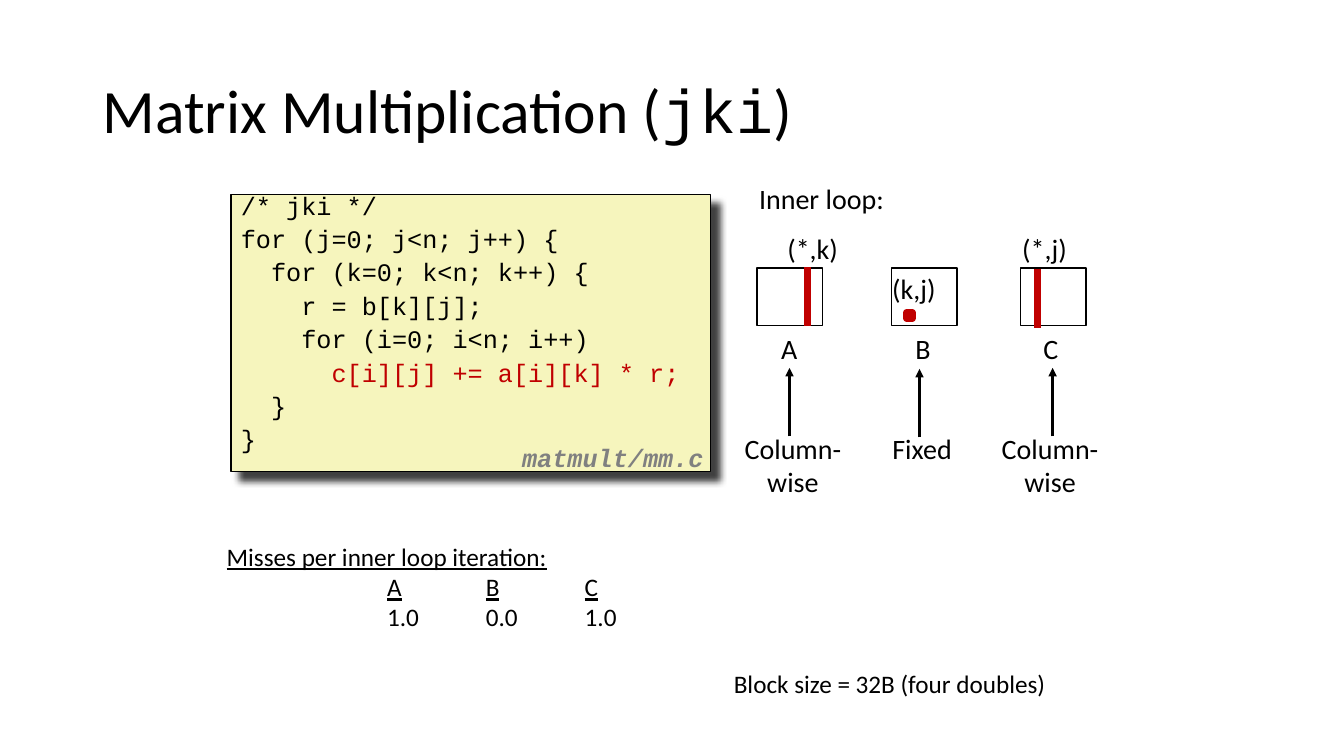
from dataclasses import dataclass

from lxml.etree import SubElement
from pptx import Presentation
from pptx.dml.color import RGBColor
from pptx.enum.shapes import MSO_CONNECTOR, MSO_SHAPE
from pptx.enum.text import MSO_ANCHOR, PP_ALIGN
from pptx.oxml.ns import qn
from pptx.util import Pt

# ---- Content: a paragraph is a list of (text, style) runs; boxes are left, top, width, height in px
TITLE = [[("Matrix Multiplication (", {}), ("jki", {"font": "code"}), (")", {})]]
CODE = [
    [("/* jki */", {})],
    [("for (j=0; j<n; j++) {", {})],
    [("  for (k=0; k<n; k++) {", {})],
    [("    r = b[k][j];", {})],
    [("    for (i=0; i<n; i++)", {})],
    [("      ", {}), ("c[i][j] += a[i][k] * r;", {"color": "accent"})],
    [("  }", {})],
    [("}", {})],
]
SOURCE_FILE = [[("matmult/mm.c", {"color": "muted", "bold": True, "italic": True})]]
INNER_LOOP = "Inner loop:"
BLOCK_SIZE = "Block size = 32B (four doubles)"
MISSES_HEADING = "Misses per inner loop iteration:"
MISSES = [("A", "1.0"), ("B", "0.0"), ("C", "1.0")]
MATRICES = [
    {"name": "A", "left": 751, "name_box": (765, 37), "index": "(*,k)", "index_box": (771, 225, 71, 43),
     "access": ["Column-", "wise"], "access_box": (728, 117), "arrow": (783, 433), "column": (801, 265)},
    {"name": "B", "left": 884, "name_box": (898, 35), "index": "(k,j)", "index_box": (875, 264, 63, 43),
     "access": ["Fixed"], "access_box": (875, 79), "arrow": (912, 434), "element": (899, 310, 6, 6)},
    {"name": "C", "left": 1012, "name_box": (1025, 35), "index": "(*,j)", "index_box": (1004, 225, 65, 43),
     "access": ["Column-", "wise"], "access_box": (983, 117), "arrow": (1044, 433), "column": (1029, 267)},
]
FRAME_TOP, FRAME_WIDTH, FRAME_HEIGHT = 266, 65, 57
COLUMN_LENGTH, ARROW_LENGTH = 58, 68
MISSES_FIRST_TAB, MISSES_TAB_STEP = 159, 98


@dataclass(frozen=True)
class Theme:
    text: str = "000000"
    accent: str = "C00000"
    element: str = "FF0000"
    muted: str = "808080"
    code_fill: str = "F6F5BD"
    paper: str = "FFFFFF"
    body: str = "Calibri"
    code: str = "Courier New"
    title_size: int = 44
    label_size: int = 20
    small_size: int = 18


THEME = Theme()
EMU_PER_PX = 9144


def px(length):
    return int(length * EMU_PER_PX)


def rgb(name):
    return RGBColor.from_string(getattr(THEME, name))


def plain(*lines):
    return [[(line, {})] for line in lines]


def write(frame, paragraphs, size, font="body", align=PP_ALIGN.LEFT, spacing=None, gap=0, tabs=()):
    for number, runs in enumerate(paragraphs):
        paragraph = frame.paragraphs[0] if number == 0 else frame.add_paragraph()
        paragraph.alignment = align
        if spacing:
            paragraph.line_spacing = spacing
        if gap and number:
            paragraph.space_before = Pt(gap)
        if tabs:
            tab_list = SubElement(paragraph._p.get_or_add_pPr(), qn("a:tabLst"))
            for tab in tabs:
                SubElement(tab_list, qn("a:tab"), pos=str(px(tab)), algn="l")
        for text, style in runs:
            run = paragraph.add_run()
            run.text = text
            run.font.name = getattr(THEME, style.get("font", font))
            run.font.size = Pt(size)
            run.font.color.rgb = rgb(style.get("color", "text"))
            run.font.bold = style.get("bold")
            run.font.italic = style.get("italic")
            run.font.underline = style.get("underline")


def add_text(slide, box, paragraphs, size, wrap=False, anchor=MSO_ANCHOR.TOP, **layout):
    frame = slide.shapes.add_textbox(*map(px, box)).text_frame
    frame.word_wrap = wrap
    frame.vertical_anchor = anchor
    write(frame, paragraphs, size, **layout)


def add_rectangle(slide, box, fill, line, weight):
    rectangle = slide.shapes.add_shape(MSO_SHAPE.RECTANGLE, *map(px, box))
    rectangle.shadow.inherit = False
    rectangle.fill.solid()
    rectangle.fill.fore_color.rgb = rgb(fill)
    rectangle.line.color.rgb = rgb(line)
    rectangle.line.width = Pt(weight)
    return rectangle


def add_upward_line(slide, x, bottom, length, color, weight, arrow=False):
    line = slide.shapes.add_connector(
        MSO_CONNECTOR.STRAIGHT, px(x), px(bottom), px(x), px(bottom - length))
    line.line.color.rgb = rgb(color)
    line.line.width = Pt(weight)
    if arrow:
        SubElement(line.line._get_or_add_ln(), qn("a:tailEnd"), type="triangle")
    SubElement(line._element.spPr, qn("a:effectLst"))


def add_code(slide):
    panel = add_rectangle(slide, (229, 193, 476, 275), "code_fill", "text", 1)
    effects = panel._element.spPr.find(qn("a:effectLst"))
    shadow = SubElement(effects, qn("a:outerShdw"), blurRad=str(Pt(5)), dist=str(Pt(8.5)),
                        dir="2700000", algn="tl", rotWithShape="0")
    shade = SubElement(shadow, qn("a:srgbClr"), val=THEME.text)
    SubElement(shade, qn("a:alpha"), val="75000")
    panel.text_frame.word_wrap = True
    panel.text_frame.vertical_anchor = MSO_ANCHOR.TOP
    write(panel.text_frame, CODE, THEME.small_size, font="code", spacing=0.65, gap=9.8)
    add_text(slide, (508, 436, 208, 39), SOURCE_FILE, THEME.small_size, font="code", spacing=0.94)


def add_matrix(slide, matrix):
    size = THEME.label_size
    add_rectangle(slide, (matrix["left"], FRAME_TOP, FRAME_WIDTH, FRAME_HEIGHT), "paper", "text", 1)
    if "column" in matrix:
        x, top = matrix["column"]
        add_upward_line(slide, x, top + COLUMN_LENGTH, COLUMN_LENGTH, "accent", 4.5)
    else:
        add_rectangle(slide, matrix["element"], "element", "accent", 4.5)
    add_text(slide, matrix["index_box"], plain(matrix["index"]), size)

    left, width = matrix["name_box"]
    add_text(slide, (left, 324, width, 43), plain(matrix["name"]), size)
    left, width = matrix["access_box"]
    height = 9 + 34 * len(matrix["access"])
    add_text(slide, (left, 423, width, height), plain(*matrix["access"]), size, align=PP_ALIGN.CENTER)
    add_upward_line(slide, *matrix["arrow"], ARROW_LENGTH, "text", 2, arrow=True)


def add_misses(slide):
    names, rates = [("\t", {})], [("\t", {})]
    for column, (name, rate) in enumerate(MISSES):
        if column:
            names.append(("\t", {}))
            rates.append(("\t", {}))
        names.append((name, {"underline": True}))
        rates.append((rate, {}))
    tabs = [MISSES_FIRST_TAB + MISSES_TAB_STEP * column for column in range(len(MISSES))]
    heading = [(MISSES_HEADING, {"underline": True})]
    add_text(slide, (215, 532, 601, 134), [heading, names, rates], THEME.small_size, wrap=True, tabs=tabs)


def main():
    deck = Presentation()
    deck.slide_width, deck.slide_height = px(1333), px(750)
    slide = deck.slides.add_slide(deck.slide_layouts[6])

    # Title and code
    add_text(slide, (92, 40, 1150, 145), TITLE, THEME.title_size, wrap=True,
             anchor=MSO_ANCHOR.MIDDLE, spacing=0.9)
    add_code(slide)

    # Access pattern of the inner loop
    add_text(slide, (743, 175, 145, 43), plain(INNER_LOOP), THEME.label_size)
    for matrix in MATRICES:
        add_matrix(slide, matrix)

    # Miss rates and the assumption behind them
    add_misses(slide)
    add_text(slide, (718, 658, 440, 40), plain(BLOCK_SIZE), THEME.small_size, wrap=True)

    deck.save("out.pptx")


if __name__ == "__main__":
    main()
